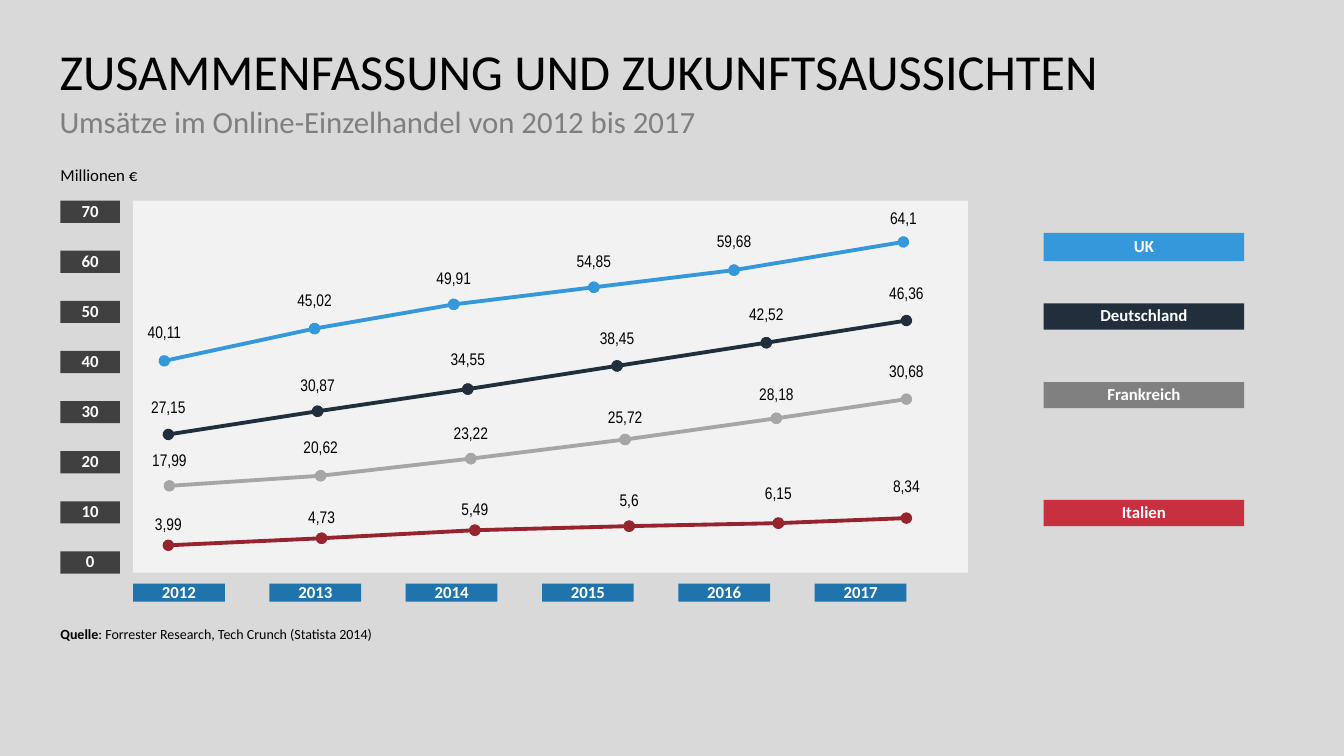
from itertools import pairwise

from lxml.etree import SubElement
from pptx import Presentation
from pptx.dml.color import RGBColor
from pptx.enum.shapes import MSO_CONNECTOR as Connector, MSO_SHAPE as Shape
from pptx.enum.text import MSO_ANCHOR as Anchor, PP_ALIGN as Align
from pptx.oxml.ns import qn
from pptx.util import Inches, Pt

# Each series: legend text, legend colour, legend top, legend height, line colour,
# and its points as (value, x, y, top of the value label)
SERIES = [
    ("UK", "3498DB", 2.31, 0.28, "3498DB", [
        ("40,11", 1.63, 3.58, 3.18), ("45,02", 3.12, 3.26, 2.87),
        ("49,91", 4.50, 3.02, 2.65), ("54,85", 5.89, 2.85, 2.48),
        ("59,68", 7.28, 2.68, 2.28), ("64,1", 8.96, 2.40, 2.05)]),
    ("Deutschland", "212E3C", 3.01, 0.26, "212E3C", [
        ("27,15", 1.67, 4.31, 3.93), ("30,87", 3.15, 4.08, 3.71),
        ("34,55", 4.64, 3.86, 3.45), ("38,45", 6.12, 3.63, 3.24),
        ("42,52", 7.60, 3.40, 3.01), ("46,36", 8.99, 3.18, 2.80)]),
    ("Frankreich", "808080", 3.79, 0.26, "A6A6A6", [
        ("17,99", 1.68, 4.82, 4.45), ("20,62", 3.18, 4.72, 4.32),
        ("23,22", 4.67, 4.55, 4.19), ("25,72", 6.20, 4.36, 4.03),
        ("28,18", 7.70, 4.15, 3.80), ("30,68", 8.99, 3.96, 3.57)]),
    ("Italien", "C8303F", 4.96, 0.26, "96242F", [
        ("3,99", 1.67, 5.41, 5.09), ("4,73", 3.19, 5.34, 5.02),
        ("5,49", 4.71, 5.26, 4.94), ("5,6", 6.24, 5.22, 4.85),
        ("6,15", 7.72, 5.19, 4.78), ("8,34", 8.99, 5.14, 4.71)]),
]
LABEL_WIDTH, LABEL_HEIGHT = 0.85, 0.24
YEARS = range(2012, 2018)
YEAR_LEFT, YEAR_STEP = 1.32, 1.352
SCALE = range(70, -1, -10)
SCALE_TOP, SCALE_BOTTOM = 1.99, 5.47


def rgb(color):
    return RGBColor.from_string(color)


def write(frame, text, size=12, color="000000", font="Calibri", bold=False,
          lead="", align=Align.LEFT, anchor=Anchor.TOP, inset=0.0):
    """Fill a text frame; lead is a bold opening in front of the text."""
    frame.word_wrap = True
    frame.vertical_anchor = anchor
    frame.margin_left = frame.margin_right = Inches(inset)
    frame.margin_top = frame.margin_bottom = Inches(inset)
    paragraph = frame.paragraphs[0]
    paragraph.alignment = align
    paragraph.line_spacing = 0.9
    for words, heavy in ((lead, True), (text, bold)):
        if words:
            run = paragraph.add_run()
            run.text = words
            run.font.size = Pt(size)
            run.font.name = font
            run.font.bold = heavy
            run.font.color.rgb = rgb(color)


def add_text(slide, text, left, top, width, height, **style):
    box = slide.shapes.add_textbox(
        Inches(left), Inches(top), Inches(width), Inches(height))
    write(box.text_frame, text, **style)


def add_bar(slide, left, top, width, height, fill, text=""):
    bar = slide.shapes.add_shape(
        Shape.RECTANGLE, Inches(left), Inches(top), Inches(width), Inches(height))
    bar.shadow.inherit = False
    bar.fill.solid()
    bar.fill.fore_color.rgb = rgb(fill)
    bar.line.fill.background()
    if text:
        write(bar.text_frame, text, color="FFFFFF", bold=True,
              align=Align.CENTER, anchor=Anchor.MIDDLE, inset=0.04)


def add_segment(slide, start, end, color):
    """Draw a line with a round dot at both ends."""
    segment = slide.shapes.add_connector(
        Connector.STRAIGHT, *(Inches(length) for length in (*start, *end)))
    segment.line.color.rgb = rgb(color)
    segment.line.width = Pt(2.75)
    outline = segment.line._get_or_add_ln()
    for tip in ("a:headEnd", "a:tailEnd"):
        SubElement(outline, qn(tip), type="oval")
    SubElement(segment._element.spPr, qn("a:effectLst"))


def add_series(slide, color, points):
    for (_, x1, y1, _), (_, x2, y2, _) in pairwise(points):
        add_segment(slide, (x1, y1), (x2, y2), color)
    for value, x, _, label_top in points:
        add_text(slide, value, x - LABEL_WIDTH / 2, label_top,
                 LABEL_WIDTH, LABEL_HEIGHT, font="Arial Narrow",
                 align=Align.CENTER, anchor=Anchor.MIDDLE, inset=0.04)


def main():
    deck = Presentation()
    deck.slide_width, deck.slide_height = Inches(13.33), Inches(7.5)
    slide = deck.slides.add_slide(deck.slide_layouts[6])
    slide.background.fill.solid()
    slide.background.fill.fore_color.rgb = rgb("D9D9D9")

    # Headings
    add_text(slide, "ZUSAMMENFASSUNG UND ZUKUNFTSAUSSICHTEN",
             0.59, 0.47, 12.15, 0.59, size=36)
    add_text(slide, "Umsätze im Online-Einzelhandel von 2012 bis 2017",
             0.59, 1.06, 12.15, 0.59, size=22, color="7F7F7F")

    # Plot area and axes
    add_bar(slide, 1.32, 1.99, 8.28, 3.69, "F2F2F2")
    add_text(slide, "Millionen €", 0.6, 1.66, 0.85, 0.18)
    scale_step = (SCALE_BOTTOM - SCALE_TOP) / (len(SCALE) - 1)
    for row, amount in enumerate(SCALE):
        add_bar(slide, 0.6, SCALE_TOP + row * scale_step, 0.59, 0.22,
                "404040", str(amount))
    for column, year in enumerate(YEARS):
        add_bar(slide, YEAR_LEFT + column * YEAR_STEP, 5.79, 0.91, 0.18,
                "1F74AD", str(year))

    # Country lines and legend
    for country, fill, top, height, line_color, points in SERIES:
        add_series(slide, line_color, points)
        add_bar(slide, 10.35, top, 1.99, height, fill, country)

    # Source
    add_text(slide, ": Forrester Research, Tech Crunch (Statista 2014)",
             0.6, 6.22, 3.3, 0.14, size=10, lead="Quelle")

    deck.save("out.pptx")


if __name__ == "__main__":
    main()
